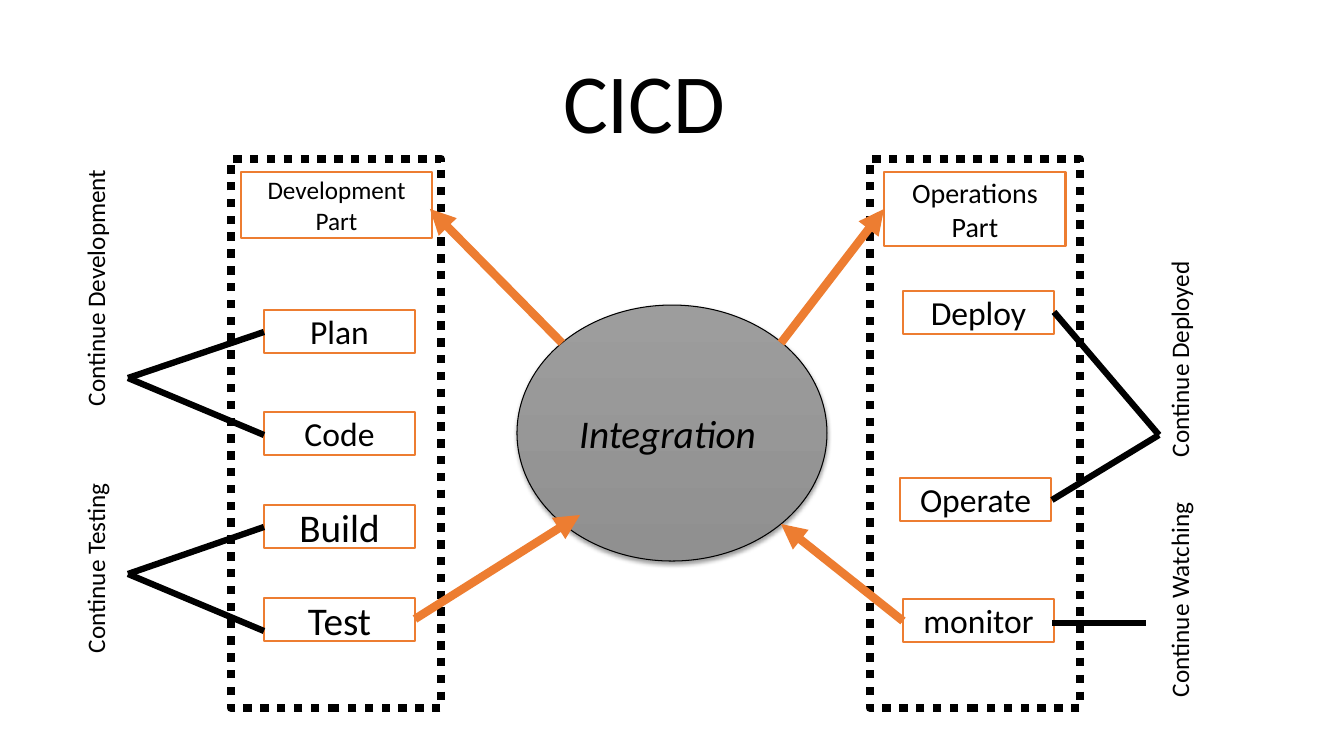
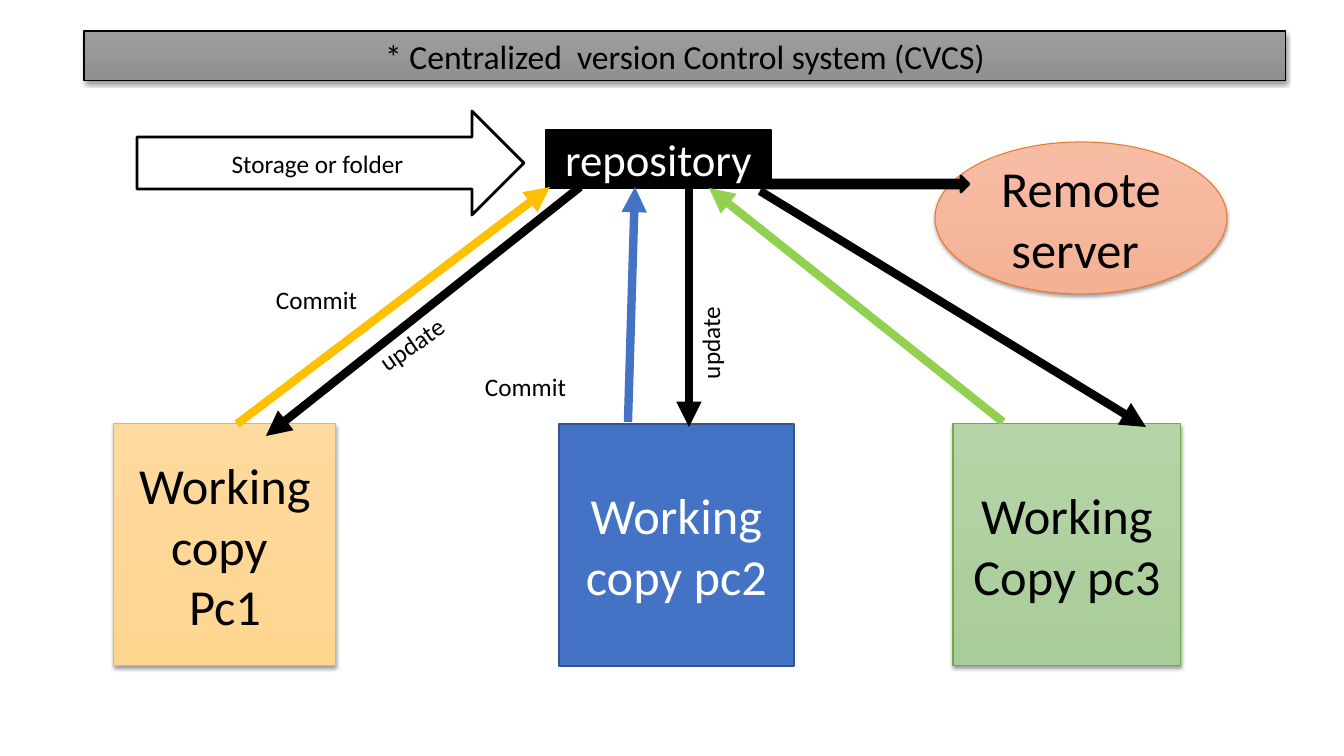
from dataclasses import dataclass
from typing import Any, Optional

from pptx import Presentation
from pptx.dml.color import RGBColor
from pptx.enum.dml import MSO_LINE
from pptx.enum.shapes import MSO_CONNECTOR, MSO_SHAPE
from pptx.enum.text import MSO_ANCHOR, MSO_AUTO_SIZE, PP_ALIGN
from pptx.oxml.ns import qn
from pptx.util import Emu, Pt
from lxml import etree

RECT, OVAL, ARROW = MSO_SHAPE.RECTANGLE, MSO_SHAPE.OVAL, MSO_SHAPE.RIGHT_ARROW
STRAIGHT = MSO_CONNECTOR.STRAIGHT
DOTTED = MSO_LINE.ROUND_DOT
TOP, MIDDLE = MSO_ANCHOR.TOP, MSO_ANCHOR.MIDDLE
LEFT, CENTER = PP_ALIGN.LEFT, PP_ALIGN.CENTER
NO_FIT = MSO_AUTO_SIZE.NONE
TITLE_ONLY = 5
EMU_PER_PX = 914400 / 100.8

Rect = tuple[int, int, int, int]
Point = tuple[int, int]


@dataclass(frozen=True)
class Theme:
    """Colours, font and type sizes of the deck."""
    font: str = "Calibri"
    black: str = "000000"
    white: str = "FFFFFF"
    orange: str = "ED7D31"
    blue: str = "4472C4"
    amber: str = "FFC000"
    green: str = "92D050"
    label: int = 18
    heading: int = 20
    body: int = 24
    large: int = 28
    store: int = 32
    node: int = 36
    display: int = 60


T = Theme()


@dataclass(frozen=True)
class Look:
    """Fill (none, one colour, or two for a gradient), outline and ink."""
    fill: tuple[str, ...] = ()
    line: Optional[str] = None
    width: float = 2
    ink: str = T.black
    shadow: bool = False
    dash: Any = None


def soft(top: str, bottom: str, line: str) -> Look:
    """Return a shaded look with a thin outline and a shadow."""
    return Look((top, bottom), line, 0.75, shadow=True)


PLAIN = Look()
ZONE = Look(line=T.black, width=6, dash=DOTTED)
STEP = Look((T.white,), T.orange)
OUTLINE = Look((T.white,), T.black)
SOLID = Look((T.black,), T.black, ink=T.white)
BLUE = Look((T.blue,), "325491", ink=T.white)
GREY = soft("9D9D9D", "909090", T.black)
YELLOW = soft("FFDA9E", "FFD590", "F9BC00")
GREEN = soft("B5D4A7", "A9CD99", "6DAC43")
PEACH = soft("F7BCA4", "F4B196", "EC792B")


@dataclass(frozen=True)
class Box:
    """A preset shape with optional text."""
    rect: Rect
    look: Look
    text: str = ""
    size: int = T.body
    kind: Any = RECT
    italic: bool = False


@dataclass(frozen=True)
class Label:
    """A free text, turned clockwise by an angle."""
    text: str
    rect: Rect
    angle: float = 0


@dataclass(frozen=True)
class Link:
    """A straight line, with an arrowhead at its end if asked."""
    start: Point
    end: Point
    color: str = T.black
    width: float = 6
    head: bool = True


def px(*values: int) -> list[Emu]:
    """Turn pixels into EMU."""
    return [Emu(round(v * EMU_PER_PX)) for v in values]


def rgb(color: str) -> RGBColor:
    """Turn a hex colour into an RGBColor."""
    return RGBColor.from_string(color)


def assign(target: Any, values: dict[str, Any]) -> None:
    """Set attributes from a dict of format values."""
    for name, value in values.items():
        setattr(target, name, value)


def add_shadow(shape: Any) -> None:
    """Give a shape a soft shadow straight below it."""
    effects = shape._element.spPr.find(qn("a:effectLst"))
    outer = etree.SubElement(effects, qn("a:outerShdw"), blurRad=str(Pt(3.1)),
                             dist=str(Pt(1.6)), dir="5400000", algn="ctr",
                             rotWithShape="0")
    color = etree.SubElement(outer, qn("a:srgbClr"), val=T.black)
    etree.SubElement(color, qn("a:alpha"), val="38000")


def paint(shape: Any, look: Look) -> None:
    """Apply fill, outline and shadow."""
    fill, line = shape.fill, shape.line
    if len(look.fill) == 2:
        fill.gradient()
        fill.gradient_angle = 270
        for stop, color in zip(fill.gradient_stops, look.fill):
            stop.color.rgb = rgb(color)
    elif look.fill:
        fill.solid()
        fill.fore_color.rgb = rgb(look.fill[0])
    else:
        fill.background()
    if look.line:
        line.color.rgb = rgb(look.line)
        line.width = Pt(look.width)
        if look.dash:
            line.dash_style = look.dash
    else:
        line.fill.background()
    shape.shadow.inherit = False
    if look.shadow:
        add_shadow(shape)


def write(shape: Any, text: str, size: int, ink: str = T.black,
          italic: bool = False, align: Any = CENTER, anchor: Any = MIDDLE) -> None:
    """Fill a shape with formatted text."""
    tf = shape.text_frame
    tf.text = text
    assign(tf, {"word_wrap": True, "auto_size": NO_FIT, "vertical_anchor": anchor})
    for p in tf.paragraphs:
        p.alignment = align
        for r in p.runs:
            assign(r.font, {"name": T.font, "size": Pt(size), "italic": italic})
            r.font.color.rgb = rgb(ink)


def add_title(s: Any, text: str, rect: Rect, size: int, look: Look = PLAIN,
              align: Any = CENTER) -> None:
    """Place and format the title placeholder."""
    title = s.shapes.title
    assign(title, dict(zip(("left", "top", "width", "height"), px(*rect))))
    paint(title, look)
    write(title, text, size, look.ink, align=align, anchor=TOP)


def add_box(s: Any, box: Box) -> None:
    """Draw a box."""
    sp = s.shapes.add_shape(box.kind, *px(*box.rect))
    paint(sp, box.look)
    if box.text:
        write(sp, box.text, box.size, box.look.ink, box.italic)


def add_label(s: Any, label: Label) -> None:
    """Draw a label."""
    sp = s.shapes.add_textbox(*px(*label.rect))
    sp.rotation = label.angle
    write(sp, label.text, T.label, align=LEFT, anchor=TOP)


def add_link(s: Any, link: Link) -> None:
    """Draw a line or an arrow."""
    sp = s.shapes.add_connector(STRAIGHT, *px(*link.start, *link.end))
    sp.line.color.rgb = rgb(link.color)
    sp.line.width = Pt(link.width)
    spPr = sp._element.spPr
    if link.head:
        etree.SubElement(spPr.find(qn("a:ln")), qn("a:tailEnd"), type="triangle")
    etree.SubElement(spPr, qn("a:effectLst"))


DRAW = {Box: add_box, Label: add_label, Link: add_link}


def draw(s: Any, items: list[Any]) -> None:
    """Draw items from back to front."""
    for item in items:
        DRAW[type(item)](s, item)


def step(text: str, x: int, y: int, size: int = T.body) -> Box:
    """Return one step of the delivery chain."""
    return Box((x, y, 151, 43), STEP, text, size)


def bracket(tip: Point, *ends: Point) -> list[Link]:
    """Return plain lines from a tip to each end."""
    return [Link(tip, end, width=4.5, head=False) for end in ends]


def cicd_slide(prs: Any) -> None:
    """Build the slide on the CICD stages."""
    s = prs.slides.add_slide(prs.slide_layouts[TITLE_ONLY])
    add_title(s, "CICD", (553, 44, 219, 112), T.display, align=LEFT)
    draw(s, [Box((x, 159, 210, 549), ZONE) for x in (231, 870)])
    draw(s, [
        Box((517, 305, 310, 256), GREY, "Integration ", T.large, OVAL, True),
        step("Plan", 264, 310),
        step("Code", 264, 412),
        step("Build", 264, 505, T.large),
        step("Test", 264, 598, T.large),
        Box((241, 172, 191, 66), STEP, "Development Part", T.label),
        step("Deploy", 903, 291),
        step("Operate", 900, 478),
        step("monitor", 903, 599),
        Box((884, 172, 182, 74), STEP, "Operations\nPart", T.heading),
        Link((415, 619), (580, 515), T.orange),
        Link((903, 621), (781, 524), T.orange),
        Link((781, 343), (884, 209), T.orange),
        Link((562, 343), (430, 209), T.orange),
        *bracket((128, 378), (264, 332), (264, 435)),
        *bracket((128, 574), (264, 527), (264, 631)),
        *bracket((1159, 435), (1054, 312), (1052, 500)),
        *bracket((1146, 623), (1052, 623)),
        Label("Continue Development ", (-37, 264, 264, 40), 270),
        Label("Continue Testing", (-1, 547, 192, 40), 270),
        Label("Continue Deployed ", (1069, 337, 220, 40), 270),
        Label("Continue Watching", (1069, 577, 220, 40), 270),
    ])


def cvcs_slide(prs: Any) -> None:
    """Build the slide on centralized version control."""
    s = prs.slides.add_slide(prs.slide_layouts[TITLE_ONLY])
    add_title(s, "* Centralized  version Control system (CVCS)",
              (84, 31, 1202, 50), T.body, GREY)
    draw(s, [
        Box((546, 130, 225, 58), SOLID, "repository", T.store),
        Box((114, 424, 222, 242), YELLOW, "Working copy \nPc1", T.node),
        Box((559, 424, 235, 242), BLUE, "Working copy pc2", T.node),
        Box((953, 424, 228, 242), GREEN, "Working Copy pc3", T.node),
        Box((935, 142, 292, 152), PEACH, "Remote server ", T.node, OVAL),
        Box((137, 111, 387, 104), OUTLINE, "Storage or folder", T.label, ARROW),
        Link((237, 424), (550, 187), T.amber),
        Link((580, 187), (266, 436)),
        Label("Commit", (266, 279, 128, 40)),
        Label("update", (364, 320, 106, 40), 325.1),
        Link((689, 186), (689, 427)),
        Link((628, 422), (635, 187), T.blue),
        Label("Commit", (475, 366, 149, 40)),
        Label("update", (657, 316, 106, 40), 270),
        Link((760, 191), (1146, 427)),
        Link((1003, 422), (709, 188), T.green),
        Box((760, 176, 209, 16), SOLID, kind=ARROW),
    ])


def main() -> None:
    """Build and save the deck."""
    prs = Presentation()
    prs.slide_width, prs.slide_height = px(1344, 756)
    cicd_slide(prs)
    cvcs_slide(prs)
    prs.save("out.pptx")


main()
